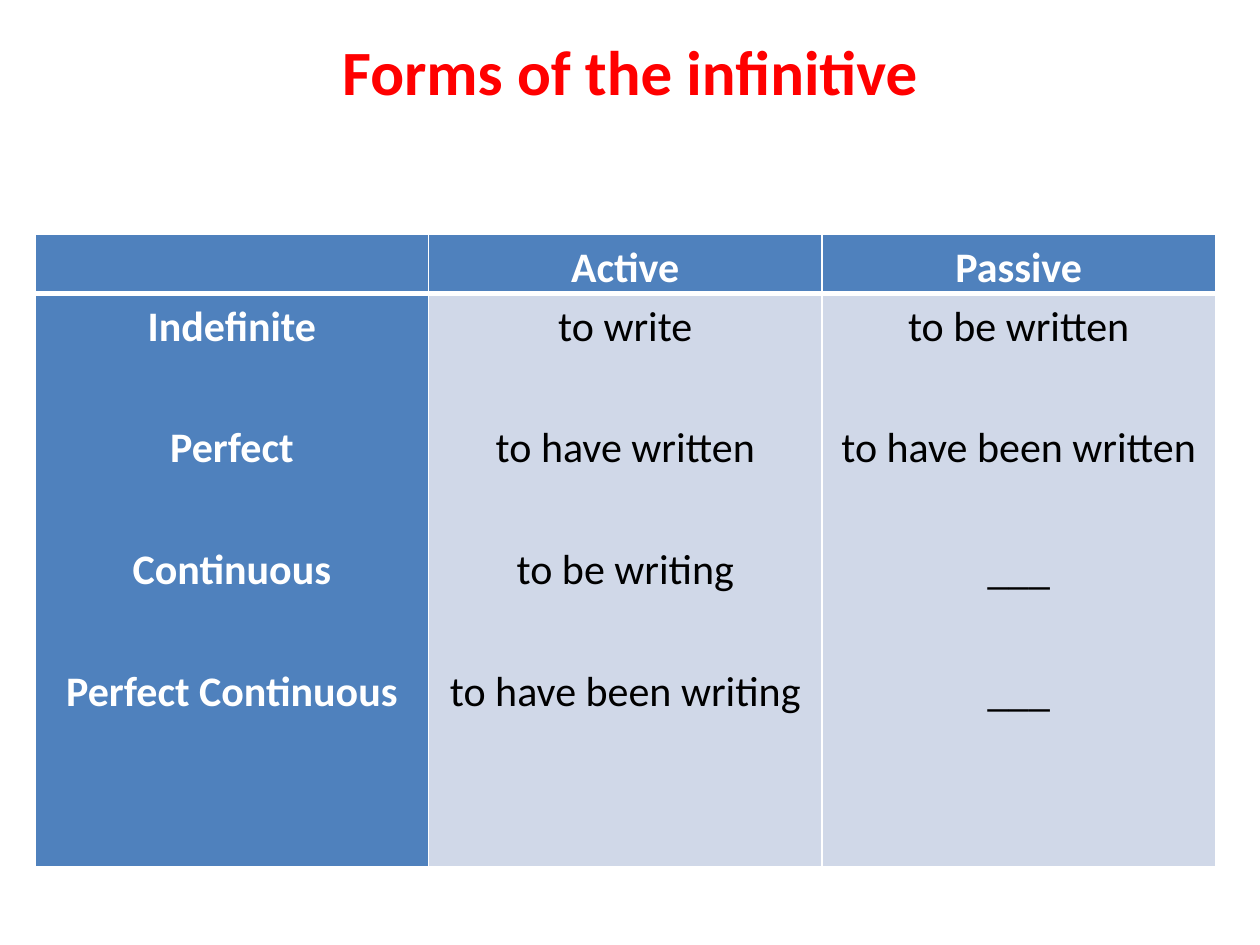
import pptx
import pptx.util
import pptx.dml.color
import pptx.enum.text
import pptx.oxml
import pptx.oxml.ns
from pptx.util import Cm

COLORS = {
    "title": "FF0000",
    "white": "FFFFFF",
    "black": "000000",
    "header": "4F81BD",
    "body": "D0D8E8",
}
FONT = "Calibri"
FORMS = [
    [[], ["Active"], ["Passive"]],
    [
        ["Indefinite", "Perfect", "Continuous", "Perfect Continuous"],
        ["to write", "to have written", "to be writing", "to have been writing"],
        ["to be written", "to have been written", "___", "___"],
    ],
]


def rgb(name):
    return pptx.dml.color.RGBColor.from_string(COLORS[name])


def format_paragraph(para, size, color, bold):
    para.alignment = pptx.enum.text.PP_ALIGN.CENTER
    for span in para.runs:
        span.font.name = FONT
        span.font.size = pptx.util.Pt(size)
        span.font.bold = bold
        span.font.color.rgb = rgb(color)


def add_title(page, text):
    title = page.shapes.title
    title.left, title.top = Cm(1.27), Cm(0.33)
    title.width, title.height = Cm(22.86), Cm(2.16)
    title.text_frame.text = text
    title.text_frame.vertical_anchor = pptx.enum.text.MSO_ANCHOR.MIDDLE
    format_paragraph(title.text_frame.paragraphs[0], 36, "title", True)


def set_borders(cell, widths):
    properties = cell._tc.get_or_add_tcPr()
    for position, (side, points) in enumerate(widths.items()):
        line = pptx.oxml.parse_xml(
            f'<a:ln{side} {pptx.oxml.ns.nsdecls("a")} w="{pptx.util.Pt(points)}">'
            f'<a:solidFill><a:srgbClr val="{COLORS["white"]}"/></a:solidFill>'
            f'</a:ln{side}>'
        )
        properties.insert(position, line)


def fill_cell(cell, lines, is_heading):
    cell.fill.solid()
    cell.fill.fore_color.rgb = rgb("header" if is_heading else "body")
    if not lines:
        return
    cell.margin_left = cell.margin_right = Cm(0.18)
    cell.margin_top = cell.margin_bottom = 0
    cell.text_frame.text = "\n".join(lines)
    for para in cell.text_frame.paragraphs:
        para.line_spacing = 1.15
        para.space_before = pptx.util.Pt(36)
        format_paragraph(para, 24, "white" if is_heading else "black", is_heading)


def add_forms_table(page):
    frame = page.shapes.add_table(
        len(FORMS), len(FORMS[0]), Cm(0.71), Cm(4.73), Cm(23.79), Cm(12.6)
    )
    table = frame.table
    for column in table.columns:
        column.width = Cm(7.93)
    for row, height in zip(table.rows, (1.04, 11.56)):
        row.height = Cm(height)
    for row_index, row in enumerate(FORMS):
        is_header = row_index == 0
        widths = {
            "L": 1,
            "R": 1,
            "T": 1 if is_header else 3,
            "B": 3 if is_header else 1,
        }
        for column_index, lines in enumerate(row):
            cell = table.cell(row_index, column_index)
            fill_cell(cell, lines, is_header or column_index == 0)
            set_borders(cell, widths)


def main():
    deck = pptx.Presentation()
    deck.slide_width, deck.slide_height = Cm(25.4), Cm(19.05)
    page = deck.slides.add_slide(deck.slide_layouts[5])
    add_title(page, "Forms of the infinitive")
    add_forms_table(page)
    deck.save("out.pptx")


main()
